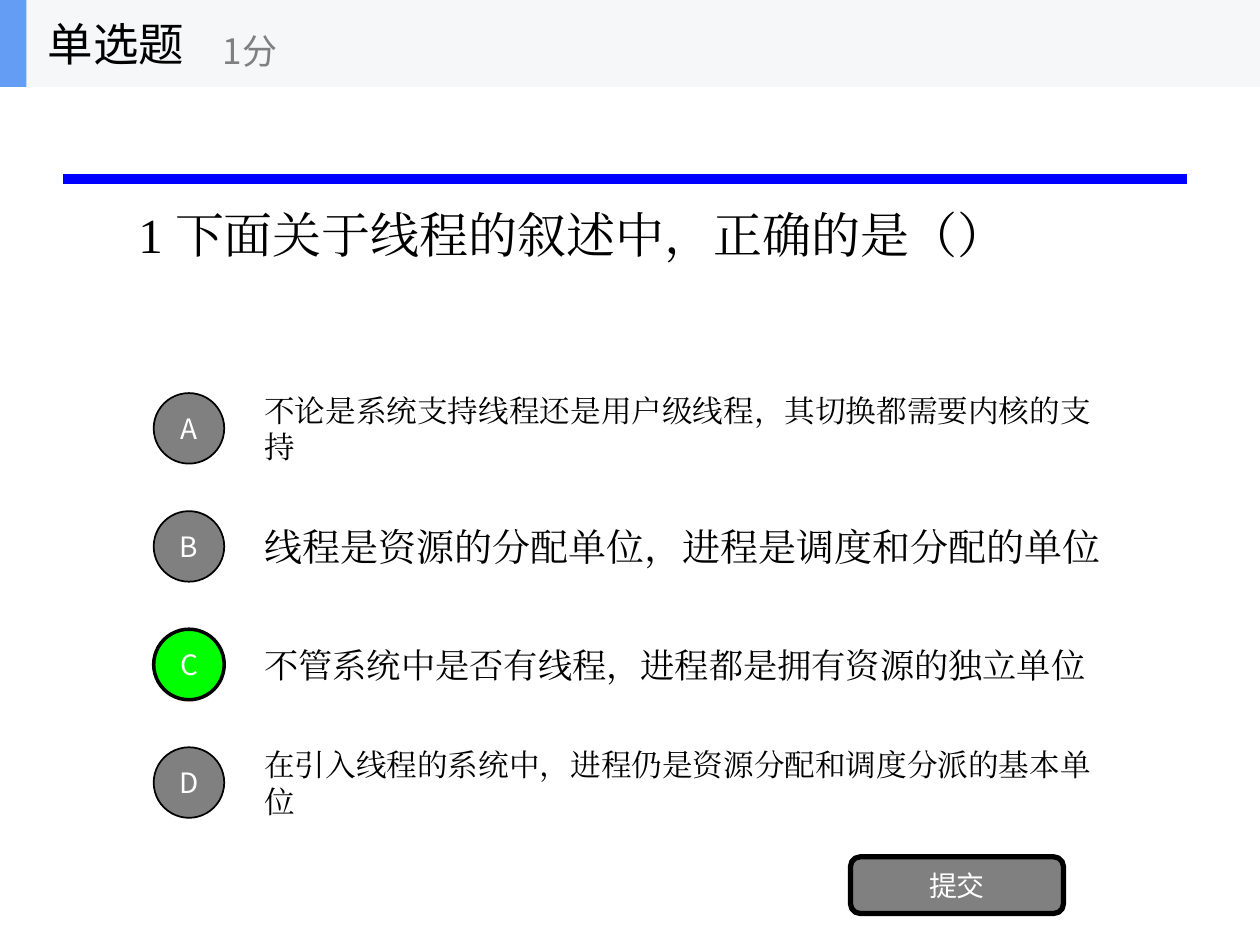
"""Build a single-choice quiz slide with four options and a submit button."""
from lxml.etree import SubElement
from pptx import Presentation
from pptx.dml.color import RGBColor
from pptx.enum.shapes import MSO_CONNECTOR, MSO_SHAPE as Shape
from pptx.enum.text import MSO_ANCHOR, PP_ALIGN as Align
from pptx.oxml.ns import qn
from pptx.util import Inches, Pt

BLACK = RGBColor(0x00, 0x00, 0x00)
WHITE = RGBColor(0xFF, 0xFF, 0xFF)
GRAY = RGBColor(0x80, 0x80, 0x80)
GREEN = RGBColor(0x00, 0xFF, 0x00)
BLUE = RGBColor(0x00, 0x00, 0xFF)
HEADER_FILL = RGBColor(0xF6, 0xF7, 0xF8)
HEADER_ACCENT = RGBColor(0x63, 0x9E, 0xF4)
SERIF = "Times New Roman"
SANS = "Noto Sans CJK SC"

QUESTION = "1 下面关于线程的叙述中，正确的是（）"
OPTIONS = [
    ("A", "不论是系统支持线程还是用户级线程，其切换都需要内核的支持", 17.5),
    ("B", "线程是资源的分配单位，进程是调度和分配的单位", 21.7),
    ("C", "不管系统中是否有线程，进程都是拥有资源的独立单位", 19.6),
    ("D", "在引入线程的系统中，进程仍是资源分配和调度分派的基本单位", 17.5),
]
ANSWER = "C"
HEADER_HEIGHT = 0.69
OPTION_TOP, OPTION_STEP, OPTION_HEIGHT = 3.05, 0.937, 0.7
CIRCLE = 0.56


def write(shape, text, size, font, color, align=Align.LEFT):
    frame = shape.text_frame
    frame.word_wrap = True
    frame.vertical_anchor = MSO_ANCHOR.MIDDLE
    paragraph = frame.paragraphs[0]
    paragraph.alignment = align
    run = paragraph.add_run()
    run.text = text
    run.font.size = Pt(size)
    run.font.color.rgb = color
    run.font.name = font
    SubElement(run.font._element, qn("a:ea"), typeface=font)


def add_text(shapes, box, text, size, font, color):
    write(shapes.add_textbox(*map(Inches, box)), text, size, font, color)


def add_shape(shapes, kind, box, fill, line_width=0):
    shape = shapes.add_shape(kind, *map(Inches, box))
    shape.shadow.inherit = False
    shape.fill.solid()
    shape.fill.fore_color.rgb = fill
    if line_width:
        shape.line.color.rgb = BLACK
        shape.line.width = Pt(line_width)
    else:
        shape.line.fill.background()
    return shape


def add_rule(shapes, left, right, top):
    rule = shapes.add_connector(
        MSO_CONNECTOR.STRAIGHT, *map(Inches, (left, top, right, top)))
    rule.line.color.rgb = BLUE
    rule.line.width = Pt(6)
    SubElement(rule._element.spPr, qn("a:effectLst"))


def add_header(shapes):
    header = shapes.add_group_shape().shapes
    for width, fill in [(10, HEADER_FILL), (0.21, HEADER_ACCENT)]:
        add_shape(header, Shape.RECTANGLE, (0, 0, width, HEADER_HEIGHT), fill)
    add_text(header, (0.28, 0, 2.08, HEADER_HEIGHT), "单选题", 26, SANS, BLACK)
    add_text(header, (1.67, 0.12, 2.5, 0.56), "1分", 20, SANS, GRAY)


def main():
    presentation = Presentation()
    presentation.slide_width = Inches(10)
    presentation.slide_height = Inches(7.5)
    shapes = presentation.slides.add_slide(presentation.slide_layouts[6]).shapes

    add_rule(shapes, 0.5, 9.42, 1.42)
    add_text(shapes, (1, HEADER_HEIGHT, 8, 2.34), QUESTION, 28, SERIF, BLACK)

    for index, (letter, text, size) in enumerate(OPTIONS):
        top = OPTION_TOP + index * OPTION_STEP
        add_text(shapes, (2, top, 7, OPTION_HEIGHT), text, size, SERIF, BLACK)
        fill, line_width = (GREEN, 2) if letter == ANSWER else (GRAY, 1)
        circle_top = top + (OPTION_HEIGHT - CIRCLE) / 2
        circle = add_shape(shapes, Shape.OVAL, (1.22, circle_top, CIRCLE, CIRCLE),
                           fill, line_width)
        write(circle, letter, 16, SANS, WHITE, Align.CENTER)

    button = add_shape(shapes, Shape.ROUNDED_RECTANGLE, (6.75, 6.8, 1.69, 0.45), GRAY, 3)
    button.adjustments[0] = 0.17
    write(button, "提交", 16, SANS, WHITE, Align.CENTER)

    add_header(shapes)
    presentation.save("out.pptx")


if __name__ == "__main__":
    main()
